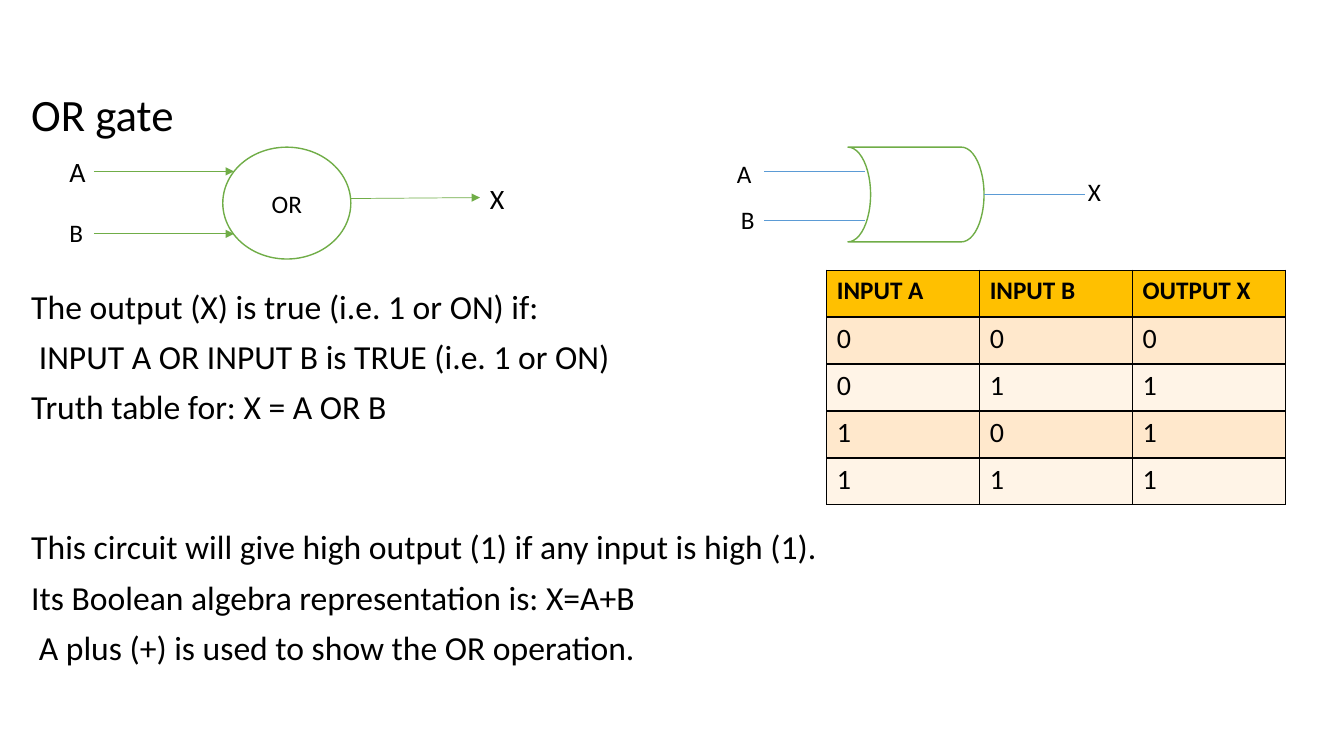
from lxml.etree import SubElement
from pptx import Presentation
from pptx.dml.color import RGBColor
from pptx.enum.shapes import MSO_CONNECTOR, MSO_SHAPE
from pptx.enum.text import MSO_ANCHOR, MSO_AUTO_SIZE, PP_ALIGN
from pptx.oxml import parse_xml
from pptx.oxml.ns import nsdecls, qn
from pptx.util import Inches, Pt

BLACK = RGBColor(0x00, 0x00, 0x00)
WHITE = RGBColor(0xFF, 0xFF, 0xFF)
GREEN = RGBColor(0x70, 0xAD, 0x47)
BLUE = RGBColor(0x5B, 0x9B, 0xD5)
GOLD = RGBColor(0xFF, 0xC0, 0x00)
PEACH = RGBColor(0xFF, 0xE8, 0xCC)
CREAM = RGBColor(0xFF, 0xF4, 0xE7)


def add_text(paragraph, text, size, bold=False):
    run = paragraph.add_run()
    run.text = text
    run.font.name = "Calibri"
    run.font.size = Pt(size)
    run.font.bold = bold
    run.font.color.rgb = BLACK


presentation = Presentation()
presentation.slide_width = Inches(13.33)
presentation.slide_height = Inches(7.5)
slide = presentation.slides.add_slide(presentation.slide_layouts[1])
shapes = slide.shapes

title = shapes.title
body = slide.placeholders[1]
for placeholder, top, height in [(title, 0.87, 0.6), (body, 2.83, 4.32)]:
    placeholder.left, placeholder.top = Inches(0.21), Inches(top)
    placeholder.width, placeholder.height = Inches(12.29), Inches(height)
    placeholder.text_frame.auto_size = MSO_AUTO_SIZE.NONE
    placeholder.text_frame.vertical_anchor = MSO_ANCHOR.TOP

heading = title.text_frame.paragraphs[0]
heading.alignment = PP_ALIGN.LEFT
heading.line_spacing = 0.9
add_text(heading, "OR gate", 32)

statements = [
    ("The output (X) is true (i.e. 1 or ON) if:", 0),
    (" INPUT A OR INPUT B is TRUE (i.e. 1 or ON)", 10),
    ("Truth table for: X = A OR B", 10),
    ("This circuit will give high output (1) if any input is high (1).", 74),
    ("Its Boolean algebra representation is: X=A+B", 10),
    (" A plus (+) is used to show the OR operation.", 10),
]
for index, (statement, space_before) in enumerate(statements):
    frame = body.text_frame
    paragraph = frame.add_paragraph() if index else frame.paragraphs[0]
    paragraph.line_spacing = 0.9
    paragraph.space_before = Pt(space_before)
    properties = paragraph._p.get_or_add_pPr()
    properties.set("marL", "0")
    properties.set("indent", "0")
    SubElement(properties, qn("a:buNone"))
    add_text(paragraph, statement, 24)

gates = [
    (MSO_SHAPE.OVAL, 2.21, 1.27, 1.11),
    (MSO_SHAPE.FLOWCHART_STORED_DATA, 8.41, 1.35, 0.94),
]
for kind, left, width, height in gates:
    gate = shapes.add_shape(kind, Inches(left), Inches(1.46), Inches(width), Inches(height))
    gate.shadow.inherit = False
    gate.fill.solid()
    gate.fill.fore_color.rgb = WHITE
    gate.line.color.rgb = GREEN
    gate.line.width = Pt(1)
    if kind == MSO_SHAPE.OVAL:
        gate.text_frame.vertical_anchor = MSO_ANCHOR.MIDDLE
        paragraph = gate.text_frame.paragraphs[0]
        paragraph.alignment = PP_ALIGN.CENTER
        add_text(paragraph, "OR", 18)
    else:
        gate.element.spPr.get_or_add_xfrm().set("flipH", "1")

wires = [
    (0.93, 1.7, 2.32, 1.7, GREEN),
    (0.93, 2.32, 2.32, 2.32, GREEN),
    (3.48, 1.97, 4.76, 1.96, GREEN),
    (7.58, 1.7, 8.58, 1.7, BLUE),
    (7.58, 2.19, 8.58, 2.19, BLUE),
    (9.76, 1.93, 10.76, 1.93, BLUE),
]
for start_x, start_y, end_x, end_y, color in wires:
    wire = shapes.add_connector(
        MSO_CONNECTOR.STRAIGHT, Inches(start_x), Inches(start_y), Inches(end_x), Inches(end_y)
    )
    wire.line.color.rgb = color
    wire.line.width = Pt(0.5)
    if color == GREEN:
        SubElement(wire.line._get_or_add_ln(), qn("a:tailEnd"), type="triangle")
    SubElement(wire.element.spPr, qn("a:effectLst"))

labels = [
    ("A", 0.59, 1.48, 20),
    ("B", 0.59, 2.11, 18),
    ("X", 4.76, 1.75, 20),
    ("A", 7.21, 1.52, 18),
    ("B", 7.25, 1.98, 18),
    ("X", 10.69, 1.7, 18),
]
for name, left, top, size in labels:
    label = shapes.add_textbox(Inches(left), Inches(top), Inches(0.35), Inches(size * 0.022))
    label.text_frame.word_wrap = False
    add_text(label.text_frame.paragraphs[0], name, size)

truth_rows = [("INPUT A", "INPUT B", "OUTPUT X")]
truth_rows += [(str(a), str(b), str(a | b)) for a in (0, 1) for b in (0, 1)]
table = shapes.add_table(5, 3, Inches(8.2), Inches(2.68), Inches(4.55), Inches(2.33)).table
for row_index, values in enumerate(truth_rows):
    is_header = row_index == 0
    for column_index, value in enumerate(values):
        cell = table.cell(row_index, column_index)
        add_text(cell.text_frame.paragraphs[0], value, 18 if is_header else 20, is_header)
        cell_properties = cell._tc.get_or_add_tcPr()
        for side in ("lnL", "lnR", "lnT", "lnB"):
            cell_properties.append(parse_xml(
                f'<a:{side} {nsdecls("a")} w="12700"><a:solidFill>'
                f'<a:srgbClr val="{BLACK}"/></a:solidFill></a:{side}>'
            ))
        cell.fill.solid()
        cell.fill.fore_color.rgb = GOLD if is_header else PEACH if row_index % 2 else CREAM

presentation.save("out.pptx")
